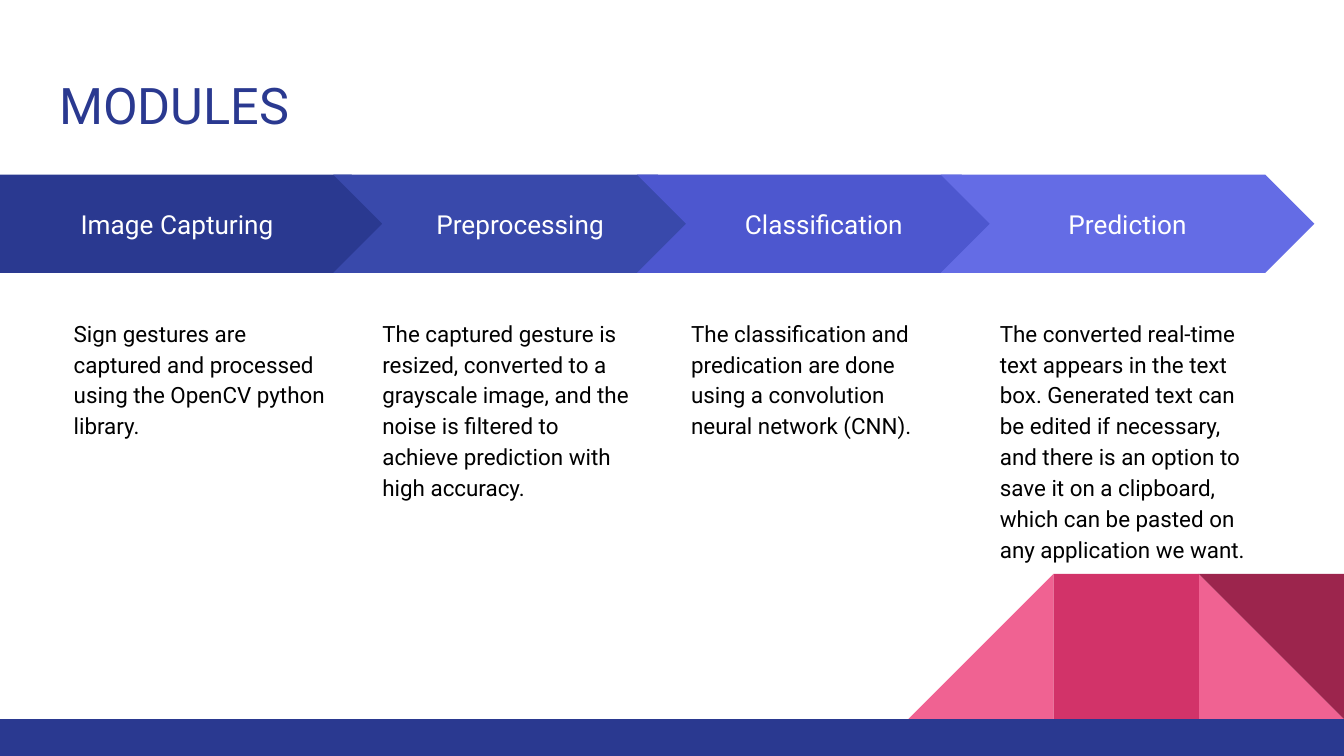
from dataclasses import dataclass

from pptx import Presentation
from pptx.dml.color import RGBColor
from pptx.enum.shapes import MSO_SHAPE as Shape
from pptx.enum.text import MSO_ANCHOR as Anchor, PP_ALIGN as Align
from pptx.util import Inches, Pt

COLORS = {
    "navy": "2A3990", "indigo": "3949AB", "violet": "4D57CF", "lavender": "646CE5",
    "pink": "F06292", "rose": "D23369", "wine": "9C254D",
    "white": "FFFFFF", "black": "000000",
}
COLUMNS, ROWS, CELL = 100, 56.25, 0.1
BAND_TOP, BAND_HEIGHT = 13, 7.3
FOOTER_TOP, TILE = 53.5, 10.8

MODULES = [
    ("Image Capturing", "navy",
     "Sign gestures are captured and processed using the OpenCV python library."),
    ("Preprocessing", "indigo",
     "The captured gesture is resized, converted to a grayscale image, "
     "and the noise is filtered to achieve prediction with high accuracy."),
    ("Classification", "violet",
     "The classification and predication are done using a convolution neural network (CNN)."),
    ("Prediction", "lavender",
     "The converted real-time text appears in the text box. Generated text can be edited "
     "if necessary, and there is an option to save it on a clipboard, "
     "which can be pasted on any application we want."),
]


@dataclass
class SlideBuilder:
    """Draws styled elements on the current slide, measured in grid cells."""
    slide: object
    font: str = "Roboto"

    def box(self, left, top, width, height):
        return [Inches(cells * CELL) for cells in (left, top, width, height)]

    def set_text(self, shape, text, size, color, align=Align.LEFT, anchor=Anchor.TOP, spacing=1):
        frame = shape.text_frame
        frame.word_wrap = True
        frame.vertical_anchor = anchor
        frame.margin_left = frame.margin_right = Inches(0.1)
        frame.margin_top = frame.margin_bottom = Inches(0.1)
        frame.text = text
        paragraph = frame.paragraphs[0]
        paragraph.alignment = align
        paragraph.line_spacing = spacing
        paragraph.font.name = self.font
        paragraph.font.size = Pt(size)
        paragraph.font.color.rgb = RGBColor.from_string(COLORS[color])

    def title(self, text, *cells):
        shape = self.slide.shapes.title
        shape.left, shape.top, shape.width, shape.height = self.box(*cells)
        self.set_text(shape, text, 27, "navy", anchor=Anchor.MIDDLE)

    def block(self, kind, color, *cells):
        shape = self.slide.shapes.add_shape(kind, *self.box(*cells))
        shape.shadow.inherit = False
        shape.fill.solid()
        shape.fill.fore_color.rgb = RGBColor.from_string(COLORS[color])
        shape.line.fill.background()
        return shape

    def triangle(self, color, *cells, rotation=0, mirrored=False):
        shape = self.block(Shape.RIGHT_TRIANGLE, color, *cells)
        shape.rotation = rotation
        if mirrored:
            shape.element.spPr.xfrm.set("flipH", "1")

    def step(self, kind, color, text, *cells, align=Align.CENTER):
        shape = self.block(kind, color, *cells)
        shape.adjustments[0] = 0.5
        self.set_text(shape, text, 14, "white", align, Anchor.MIDDLE)
        return shape

    def description(self, text, *cells):
        shape = self.slide.shapes.add_textbox(*self.box(*cells))
        self.set_text(shape, text, 12, "black", spacing=1.15)


def main():
    presentation = Presentation()
    presentation.slide_width = Inches(COLUMNS * CELL)
    presentation.slide_height = Inches(ROWS * CELL)
    builder = SlideBuilder(presentation.slides.add_slide(presentation.slide_layouts[5]))

    tile_top = FOOTER_TOP - TILE
    left, middle, right = (COLUMNS - TILE * count for count in (3, 2, 1))
    builder.triangle("pink", right, tile_top, TILE, TILE)
    builder.triangle("pink", left, tile_top, TILE, TILE, mirrored=True)
    builder.block(Shape.RECTANGLE, "rose", middle, tile_top, TILE, TILE)
    builder.triangle("wine", right, tile_top, TILE, TILE, rotation=180)
    builder.block(Shape.RECTANGLE, "navy", 0, FOOTER_TOP, COLUMNS, ROWS - FOOTER_TOP)

    builder.title("MODULES", 3.4, 4.5, 93.2, 6.6)

    for index, (name, color, text) in enumerate(MODULES):
        if index == 0:
            start = builder.step(Shape.PENTAGON, color, name, 0, BAND_TOP, 29.8, BAND_HEIGHT,
                                 align=Align.LEFT)
            start.text_frame.margin_left = Inches(0.6)
        else:
            builder.step(Shape.CHEVRON, color, name,
                         2.2 + 22.6 * index, BAND_TOP, 27.8, BAND_HEIGHT)
        builder.description(text, 4.5 + 22.97 * index, 22.5, 20.8, 28.6)

    presentation.save("out.pptx")


if __name__ == "__main__":
    main()
